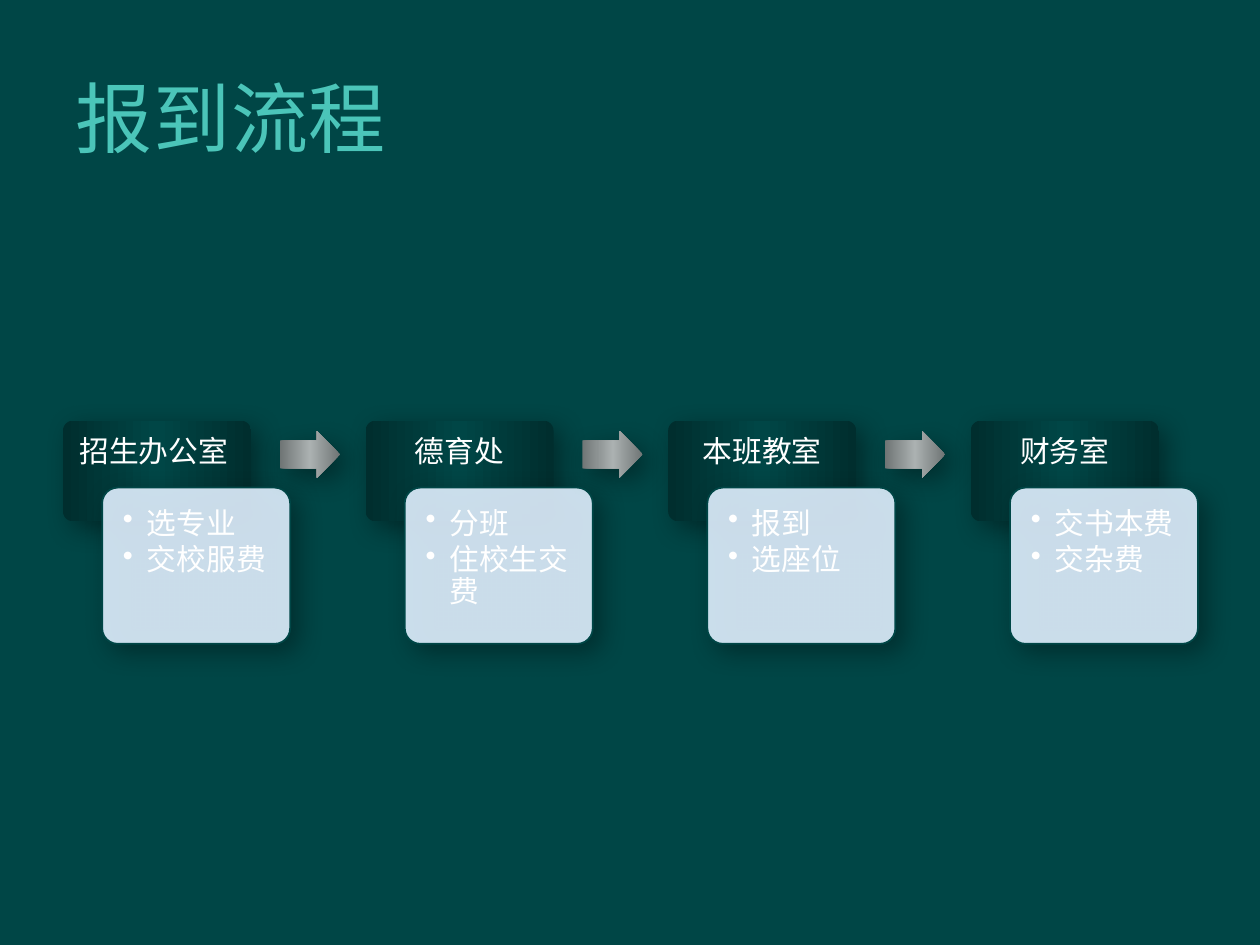
from copy import deepcopy
from dataclasses import dataclass

from lxml import etree
from pptx import Presentation
from pptx.dml.color import RGBColor
from pptx.enum.shapes import MSO_SHAPE
from pptx.enum.text import MSO_ANCHOR, PP_ALIGN
from pptx.oxml.ns import qn
from pptx.util import Cm, Pt

ROUNDED, ARROW = MSO_SHAPE.ROUNDED_RECTANGLE, MSO_SHAPE.RIGHT_ARROW
LEFT, CENTER = PP_ALIGN.LEFT, PP_ALIGN.CENTER
TOP, MIDDLE = MSO_ANCHOR.TOP, MSO_ANCHOR.MIDDLE

# Content: (place, alignment of its name, tasks done there)
TITLE = "报到流程"
STEPS = [
    ("招生办公室", LEFT, ["选专业", "交校服费"]),
    ("德育处", CENTER, ["分班", "住校生交费"]),
    ("本班教室", CENTER, ["报到", "选座位"]),
    ("财务室", CENTER, ["交书本费", "交杂费"]),
]


@dataclass(frozen=True)
class Theme:
    background: str = "004646"
    title: str = "4BC5B9"
    text: str = "FFFFFF"
    card: str = "E1F0FF"
    shadow: str = "000000"
    place_gradient: tuple = ("002E2E", "004646", "002E2E")
    arrow_gradient: tuple = ("6F7575", "ABB1B1", "6F7575")
    title_font: str = "Lato"
    body_font: str = "Times New Roman"
    title_size: int = 44
    body_size: int = 17


THEME = Theme()

# Layout in centimetres
FIRST_LEFT, PITCH = 1.27, 6.1
PLACE_TOP, PLACE_HEIGHT, NAME_HEIGHT = 8.48, 2.03, 1.37
CARD_WIDTH, CARD_HEIGHT = 3.79, 3.15
CARD_SHIFT, CARD_TOP, CARD_EDGE = 0.79, 9.83, 0.09
ARROW_SHIFT, ARROW_TOP, ARROW_WIDTH, ARROW_HEIGHT = 4.37, 8.69, 1.22, 0.94
INSET, BULLET_INDENT = 0.33, 0.48


def color(code):
    return RGBColor.from_string(code)


def add_shadow(shape):
    shape.shadow.inherit = False
    effects = shape._element.spPr.find(qn("a:effectLst"))
    outer = etree.SubElement(effects, qn("a:outerShdw"), blurRad=str(Pt(15)),
                             dist=str(Pt(6.2)), dir="2700000", algn="tl", rotWithShape="0")
    shade = etree.SubElement(outer, qn("a:srgbClr"), val=THEME.shadow)
    etree.SubElement(shade, qn("a:alpha"), val="36000")


def fill_gradient(shape, codes):
    shape.fill.gradient()
    shape.fill.gradient_angle = 0
    stops = next(shape._element.spPr.iter(qn("a:gsLst")))
    stops.append(deepcopy(stops[0]))
    for index, (stop, code) in enumerate(zip(shape.fill.gradient_stops, codes)):
        stop.color.rgb = color(code)
        stop.position = index / (len(codes) - 1)


def add_block(page, kind, left, top, width, height, adjustments, gradient=None):
    shape = page.shapes.add_shape(kind, Cm(left), Cm(top), Cm(width), Cm(height))
    for index, value in enumerate(adjustments):
        shape.adjustments[index] = value
    if gradient:
        fill_gradient(shape, gradient)
        shape.line.fill.background()
    else:
        shape.fill.solid()
        shape.fill.fore_color.rgb = color(THEME.card)
        solid = shape._element.spPr.find(qn("a:solidFill"))
        etree.SubElement(solid[0], qn("a:alpha"), val="90000")
        shape.line.color.rgb = color(THEME.background)
        shape.line.width = Pt(1)
    add_shadow(shape)


def add_text(page, lines, left, top, width, height, *, font=THEME.body_font,
             size=THEME.body_size, code=THEME.text, align=LEFT, anchor=TOP,
             insets=(INSET,) * 4, line_spacing=0.9, space_after=0,
             bullets=False, tracking=None):
    box = page.shapes.add_textbox(Cm(left), Cm(top), Cm(width), Cm(height))
    frame = box.text_frame
    frame.word_wrap = True
    frame.vertical_anchor = anchor
    (frame.margin_left, frame.margin_top,
     frame.margin_right, frame.margin_bottom) = map(Cm, insets)
    for index, line in enumerate(lines):
        para = frame.paragraphs[0] if index == 0 else frame.add_paragraph()
        para.alignment = align
        para.line_spacing = line_spacing
        para.space_after = Pt(space_after)
        if bullets:
            para.level = 1
            props = para._p.get_or_add_pPr()
            props.set("marL", str(Cm(BULLET_INDENT)))
            props.set("indent", str(-Cm(BULLET_INDENT)))
            etree.SubElement(props, qn("a:buChar"), char="•")
        span = para.add_run()
        span.text = line
        span.font.name = font
        span.font.size = Pt(size)
        span.font.color.rgb = color(code)
        if tracking:
            span.font._element.set("spc", str(tracking))


def add_step(page, left, place, align, tasks):
    # Place name on a dark block
    add_block(page, ROUNDED, left, PLACE_TOP, CARD_WIDTH, PLACE_HEIGHT, [0.1],
              THEME.place_gradient)
    add_text(page, [place], left, PLACE_TOP, CARD_WIDTH, NAME_HEIGHT, align=align,
             insets=(INSET, INSET, INSET, 0.18))
    # Task list on a light card
    card_left = left + CARD_SHIFT
    add_block(page, ROUNDED, card_left, CARD_TOP, CARD_WIDTH, CARD_HEIGHT, [0.1])
    add_text(page, tasks, card_left + CARD_EDGE, CARD_TOP + CARD_EDGE,
             CARD_WIDTH - 2 * CARD_EDGE, CARD_HEIGHT - 2 * CARD_EDGE,
             bullets=True, space_after=2.5)


def main():
    deck = Presentation()
    deck.slide_width, deck.slide_height = Cm(25.4), Cm(19.05)
    page = deck.slides.add_slide(deck.slide_layouts[6])
    page.background.fill.solid()
    page.background.fill.fore_color.rgb = color(THEME.background)

    # Title
    add_text(page, [TITLE], 1.27, 0.76, 21.59, 3.18, font=THEME.title_font,
             size=THEME.title_size, code=THEME.title, anchor=MIDDLE,
             insets=(0.25, 0.13, 0.25, 0.13), line_spacing=1.0, tracking=50)

    # Steps, with an arrow leading to each next one
    for index, step in enumerate(STEPS):
        left = FIRST_LEFT + index * PITCH
        add_step(page, left, *step)
        if index < len(STEPS) - 1:
            add_block(page, ARROW, left + ARROW_SHIFT, ARROW_TOP, ARROW_WIDTH,
                      ARROW_HEIGHT, [0.6, 0.5], THEME.arrow_gradient)

    deck.save("out.pptx")


if __name__ == "__main__":
    main()
